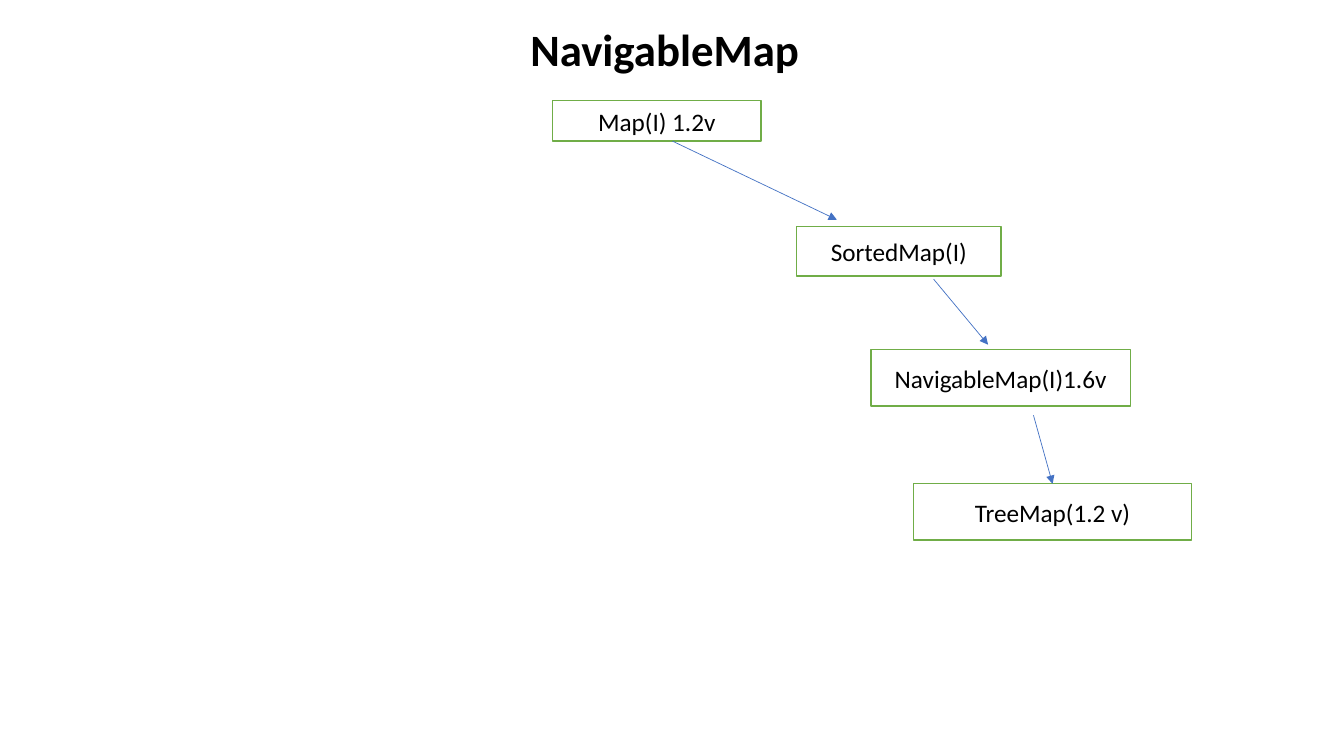
from lxml.etree import SubElement
from pptx import Presentation
from pptx.dml.color import RGBColor
from pptx.enum.shapes import MSO_CONNECTOR, MSO_SHAPE
from pptx.enum.text import MSO_ANCHOR, PP_ALIGN
from pptx.oxml.ns import qn
from pptx.util import Inches, Pt

COLORS = {"text": "000000", "box": "FFFFFF", "border": "70AD47", "arrow": "4472C4"}


class SlideBuilder:
    """Hold the style and the current slide, and draw its elements."""

    font_name = "Calibri"

    def __init__(self, slide):
        self.slide = slide

    def color(self, name):
        return RGBColor.from_string(COLORS[name])

    def add_text(self, paragraph, text, size, bold=False):
        run = paragraph.add_run()
        run.text = text
        run.font.name = self.font_name
        run.font.size = Pt(size)
        run.font.bold = bold
        run.font.color.rgb = self.color("text")

    def title(self, text, left, top, width, height, indent):
        shape = self.slide.shapes.add_textbox(
            Inches(left), Inches(top), Inches(width), Inches(height))
        frame = shape.text_frame
        frame.word_wrap = True
        frame.margin_left = Inches(indent)
        self.add_text(frame.paragraphs[0], text, 32, bold=True)

    def box(self, text, left, top, width, height):
        shape = self.slide.shapes.add_shape(
            MSO_SHAPE.RECTANGLE, Inches(left), Inches(top), Inches(width), Inches(height))
        shape.shadow.inherit = False
        shape.fill.solid()
        shape.fill.fore_color.rgb = self.color("box")
        shape.line.color.rgb = self.color("border")
        shape.line.width = Pt(1)
        frame = shape.text_frame
        frame.word_wrap = True
        frame.vertical_anchor = MSO_ANCHOR.MIDDLE
        paragraph = frame.paragraphs[0]
        paragraph.alignment = PP_ALIGN.CENTER
        self.add_text(paragraph, text, 18)

    def arrow(self, start_x, start_y, end_x, end_y):
        connector = self.slide.shapes.add_connector(
            MSO_CONNECTOR.STRAIGHT,
            Inches(start_x), Inches(start_y), Inches(end_x), Inches(end_y))
        connector.line.color.rgb = self.color("arrow")
        connector.line.width = Pt(0.5)
        properties = connector._element.spPr
        SubElement(properties.find(qn("a:ln")), qn("a:tailEnd"), type="triangle")
        SubElement(properties, qn("a:effectLst"))


presentation = Presentation()
presentation.slide_width = Inches(13.33)
presentation.slide_height = Inches(7.5)
builder = SlideBuilder(presentation.slides.add_slide(presentation.slide_layouts[6]))

builder.title("NavigableMap", 0.16, 0.17, 13.04, 0.64, indent=5.1)

map_types = [
    ("Map(I) 1.2v", 5.48, 1, 2.07, 0.4),
    ("SortedMap(I)", 7.9, 2.25, 2.03, 0.49),
    ("NavigableMap(I)1.6v", 8.64, 3.47, 2.57, 0.56),
    ("TreeMap(1.2 v)", 9.06, 4.8, 2.76, 0.56),
]
for map_type in map_types:
    builder.box(*map_type)

inheritance_arrows = [
    (6.67, 1.4, 8.3, 2.18),
    (9.26, 2.77, 9.8, 3.42),
    (10.25, 4.12, 10.44, 4.8),
]
for inheritance_arrow in inheritance_arrows:
    builder.arrow(*inheritance_arrow)

presentation.save("out.pptx")
